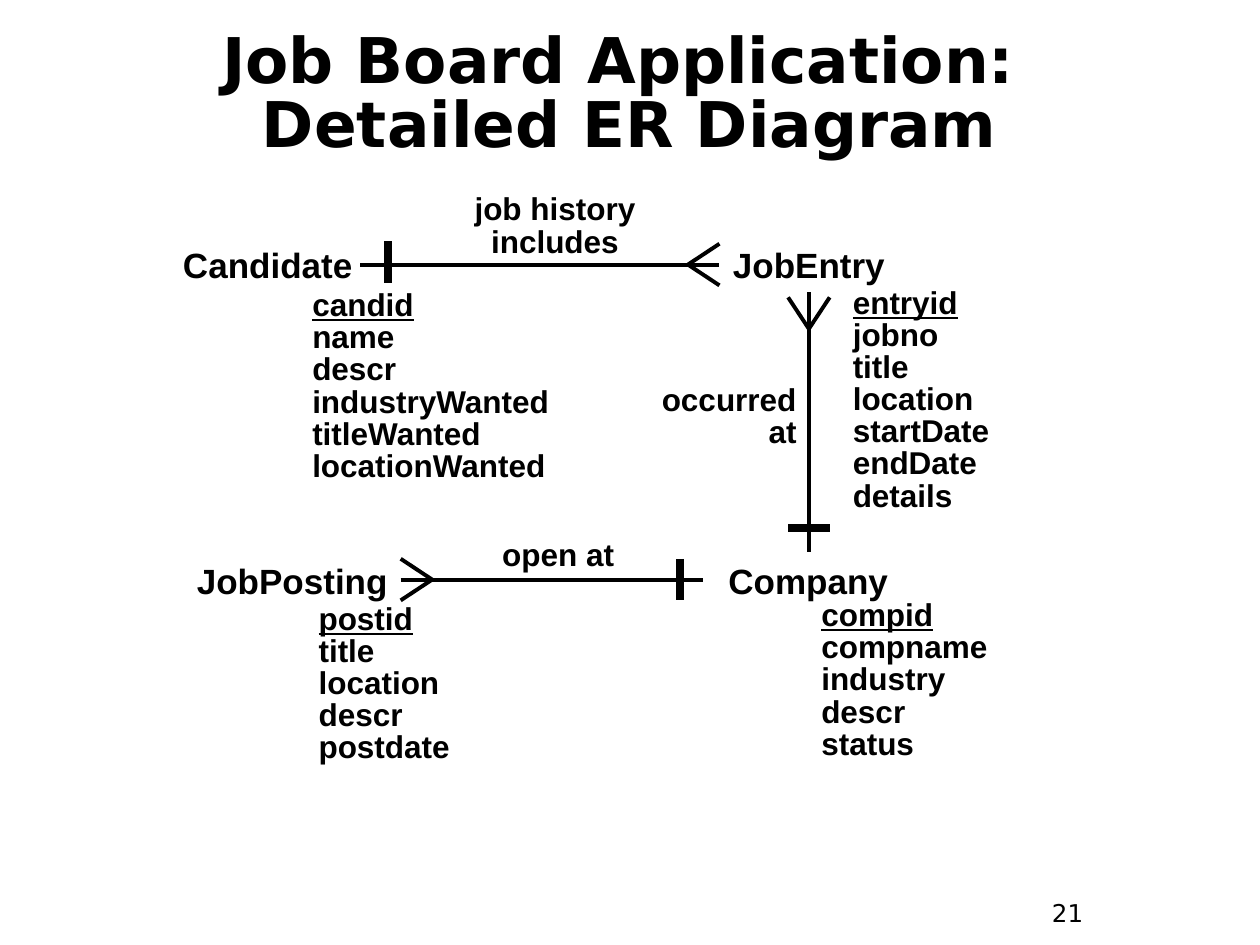
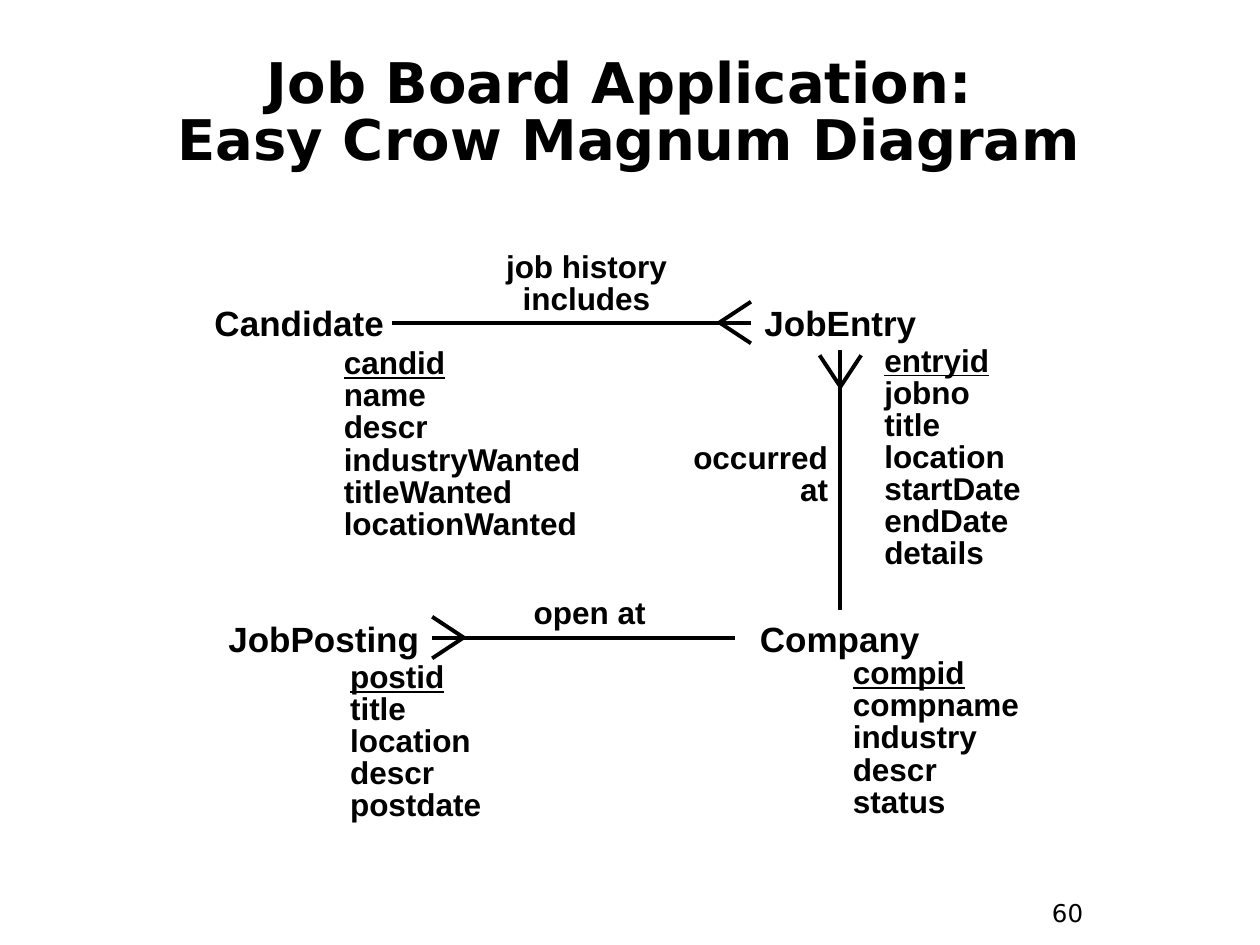
from dataclasses import dataclass

from lxml.etree import SubElement
from pptx import Presentation
from pptx.dml.color import RGBColor
from pptx.enum.shapes import MSO_CONNECTOR as Connector, MSO_SHAPE as Shape
from pptx.enum.text import MSO_ANCHOR as Anchor, MSO_AUTO_SIZE as AutoSize, PP_ALIGN as Align
from pptx.oxml.ns import qn
from pptx.util import Inches, Pt

COLORS = {"ink": "000000", "paper": "FFFFFF"}
TITLE_FONT = "DejaVu Sans"
DIAGRAM_FONT = "Arial"
TIGHT = 0.85
FOOT_LENGTH = 0.25
HALF_SPREAD = 0.165

Point = tuple[float, float]
Area = tuple[float, float, float, float]


@dataclass(frozen=True)
class Entity:
    name: str
    area: Area
    list_area: Area
    attributes: tuple[str, ...]


@dataclass(frozen=True)
class Relation:
    label: tuple[str, ...]
    label_area: Area
    align: Align
    start: Point
    end: Point
    foot: Point
    toward: tuple[int, int]
    bar: Point


@dataclass(frozen=True)
class Diagram:
    title: tuple[str, ...]
    title_top: float
    title_size: int
    number: str
    shift: Point
    show_bars: bool


ENTITIES = (
    Entity("Candidate", (1.38, 1.87, 1.49, 0.46), (2.38, 2.26, 2.29, 1.63),
           ("candid", "name", "descr", "industryWanted", "titleWanted", "locationWanted")),
    Entity("JobPosting", (1.46, 4.33, 1.72, 0.56), (2.43, 4.75, 1.72, 1.38),
           ("postid", "title", "location", "descr", "postdate")),
    Entity("JobEntry", (5.71, 1.87, 1.42, 0.46), (6.67, 2.24, 1.33, 1.89),
           ("entryid", "jobno", "title", "location", "startDate", "endDate", "details")),
    Entity("Company", (5.58, 4.38, 1.67, 0.46), (6.42, 4.72, 1.83, 1.38),
           ("compid", "compname", "industry", "descr", "status")),
)

RELATIONS = (
    Relation(("job history includes",), (3.24, 1.5, 2.33, 0.61), Align.CENTER,
             (2.86, 2.1), (5.71, 2.1), (5.46, 2.1), (1, 0), (3.08, 2.08)),
    Relation(("open at",), (3.57, 4.24, 1.72, 0.36), Align.CENTER,
             (3.18, 4.6), (5.58, 4.6), (3.43, 4.6), (-1, 0), (5.4, 4.6)),
    Relation(("occurred", "at"), (4.93, 3.01, 1.49, 0.61), Align.RIGHT,
             (6.42, 2.32), (6.42, 4.38), (6.42, 2.61), (0, -1), (6.42, 4.19)),
)

DIAGRAMS = (
    Diagram(("Job Board Application: ", "Detailed ER Diagram"), 0.35, 36, "21", (0, 0), True),
    Diagram(("Job Board Application: ", "Easy Crow Magnum Diagram"), 0.5, 32, "60",
            (0.25, 0.46), False),
)


def color(name: str) -> RGBColor:
    return RGBColor.from_string(COLORS[name])


def moved(area: Area, shift: Point) -> Area:
    left, top, width, height = area
    return left + shift[0], top + shift[1], width, height


def write(para, lines: tuple[str, ...], size: int, font: str = DIAGRAM_FONT,
          bold: bool = True, underline: bool = False) -> None:
    for index, line in enumerate(lines):
        if index:
            para.add_line_break()
        span = para.add_run()
        span.text = line
        span.font.name = font
        span.font.size = Pt(size)
        span.font.bold = bold
        span.font.underline = underline
        span.font.color.rgb = color("ink")


def add_frame(page, area: Area):
    frame = page.shapes.add_textbox(*map(Inches, area)).text_frame
    frame.word_wrap = True
    return frame


def add_title(page, diagram: Diagram) -> None:
    title = page.shapes.title
    title.left, title.top = Inches(0.33), Inches(diagram.title_top)
    title.width, title.height = Inches(9.33), Inches(0.83)
    frame = title.text_frame
    frame.auto_size = AutoSize.NONE
    frame.vertical_anchor = Anchor.MIDDLE
    para = frame.paragraphs[0]
    para.alignment = Align.CENTER
    para.line_spacing = TIGHT
    write(para, diagram.title, diagram.title_size, TITLE_FONT)


def add_number(page, number: str) -> None:
    frame = add_frame(page, (8.25, 7.08, 0.75, 0.37))
    write(frame.paragraphs[0], (number,), 14, TITLE_FONT, bold=False)


def add_entity(page, entity: Entity, shift: Point) -> None:
    box = page.shapes.add_shape(Shape.RECTANGLE, *map(Inches, moved(entity.area, shift)))
    box.shadow.inherit = False
    box.fill.solid()
    box.fill.fore_color.rgb = color("paper")
    box.line.fill.background()
    box.text_frame.word_wrap = False
    box.text_frame.vertical_anchor = Anchor.MIDDLE
    para = box.text_frame.paragraphs[0]
    para.alignment = Align.CENTER
    write(para, (entity.name,), 20)


def add_attributes(page, entity: Entity, shift: Point) -> None:
    frame = add_frame(page, moved(entity.list_area, shift))
    for index, attribute in enumerate(entity.attributes):
        para = frame.add_paragraph() if index else frame.paragraphs[0]
        para.line_spacing = TIGHT
        write(para, (attribute,), 18, underline=index == 0)


def add_line(shapes, start: Point, end: Point, shift: Point, weight: float = 2.25) -> None:
    ends = [Inches(value + move) for point in (start, end) for value, move in zip(point, shift)]
    line = shapes.add_connector(Connector.STRAIGHT, *ends)
    line.line.width = Pt(weight)
    line.line.color.rgb = color("ink")
    SubElement(line._element.spPr, qn("a:effectLst"))


def add_relation(page, relation: Relation, shift: Point, show_bar: bool) -> None:
    para = add_frame(page, moved(relation.label_area, shift)).paragraphs[0]
    para.alignment = relation.align
    para.line_spacing = TIGHT
    write(para, relation.label, 18)

    add_line(page.shapes, relation.start, relation.end, shift)
    (x, y), (dx, dy) = relation.foot, relation.toward
    across = (abs(dy) * HALF_SPREAD, abs(dx) * HALF_SPREAD)
    foot = page.shapes.add_group_shape()
    for side in (-1, 1):
        tip = (x + dx * FOOT_LENGTH + side * across[0], y + dy * FOOT_LENGTH + side * across[1])
        add_line(foot.shapes, relation.foot, tip, shift)
    if show_bar:
        x, y = relation.bar
        add_line(page.shapes, (x - across[0], y - across[1]), (x + across[0], y + across[1]),
                 shift, 4.5)


def add_diagram(deck, diagram: Diagram) -> None:
    page = deck.slides.add_slide(deck.slide_layouts.get_by_name("Title Only"))
    add_title(page, diagram)
    add_number(page, diagram.number)
    for entity in ENTITIES:
        add_entity(page, entity, diagram.shift)
    for entity in ENTITIES:
        add_attributes(page, entity, diagram.shift)
    for relation in RELATIONS:
        add_relation(page, relation, diagram.shift, diagram.show_bars)


def main() -> None:
    deck = Presentation()
    deck.slide_width, deck.slide_height = Inches(10), Inches(7.5)
    for diagram in DIAGRAMS:
        add_diagram(deck, diagram)
    deck.save("out.pptx")


if __name__ == "__main__":
    main()
